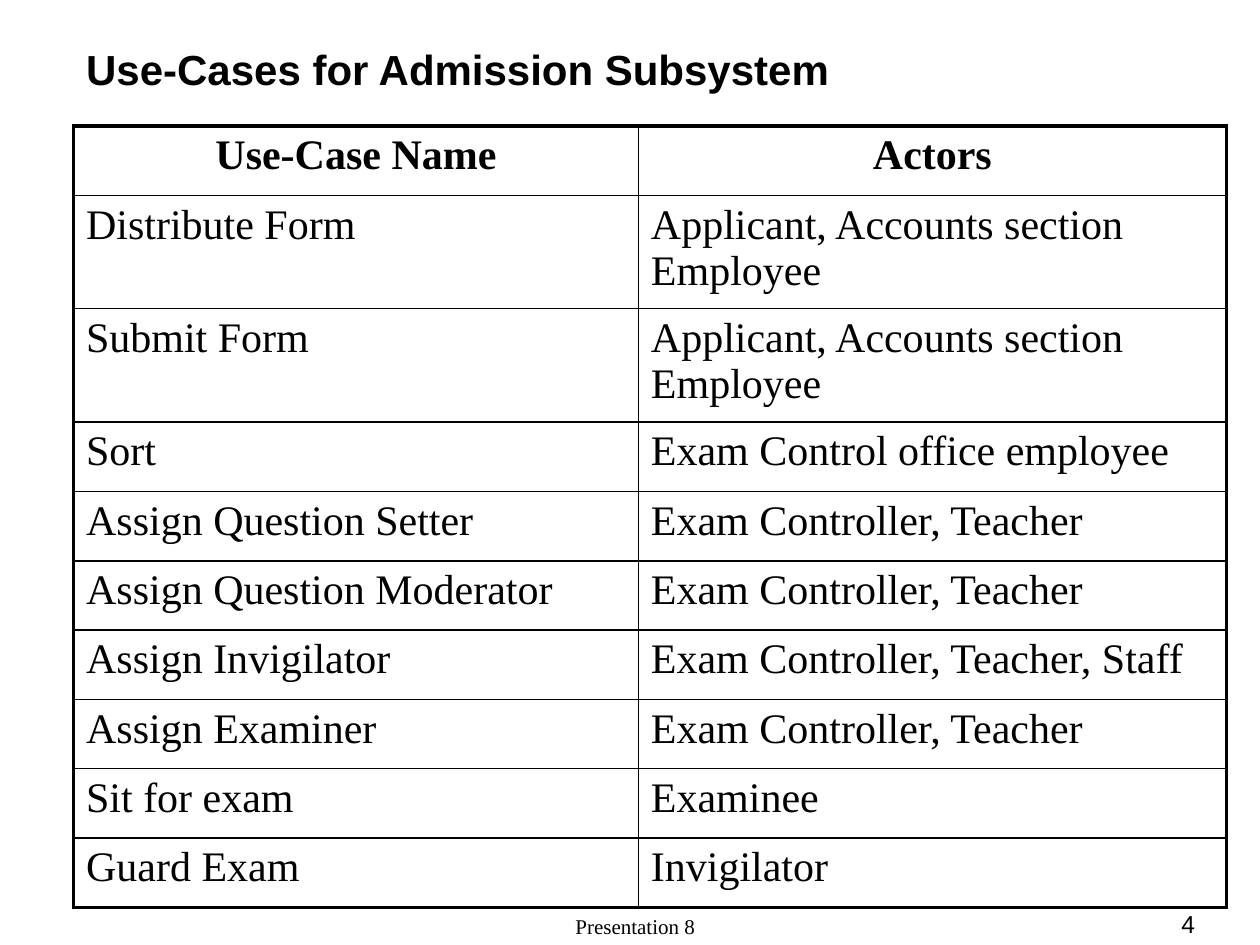
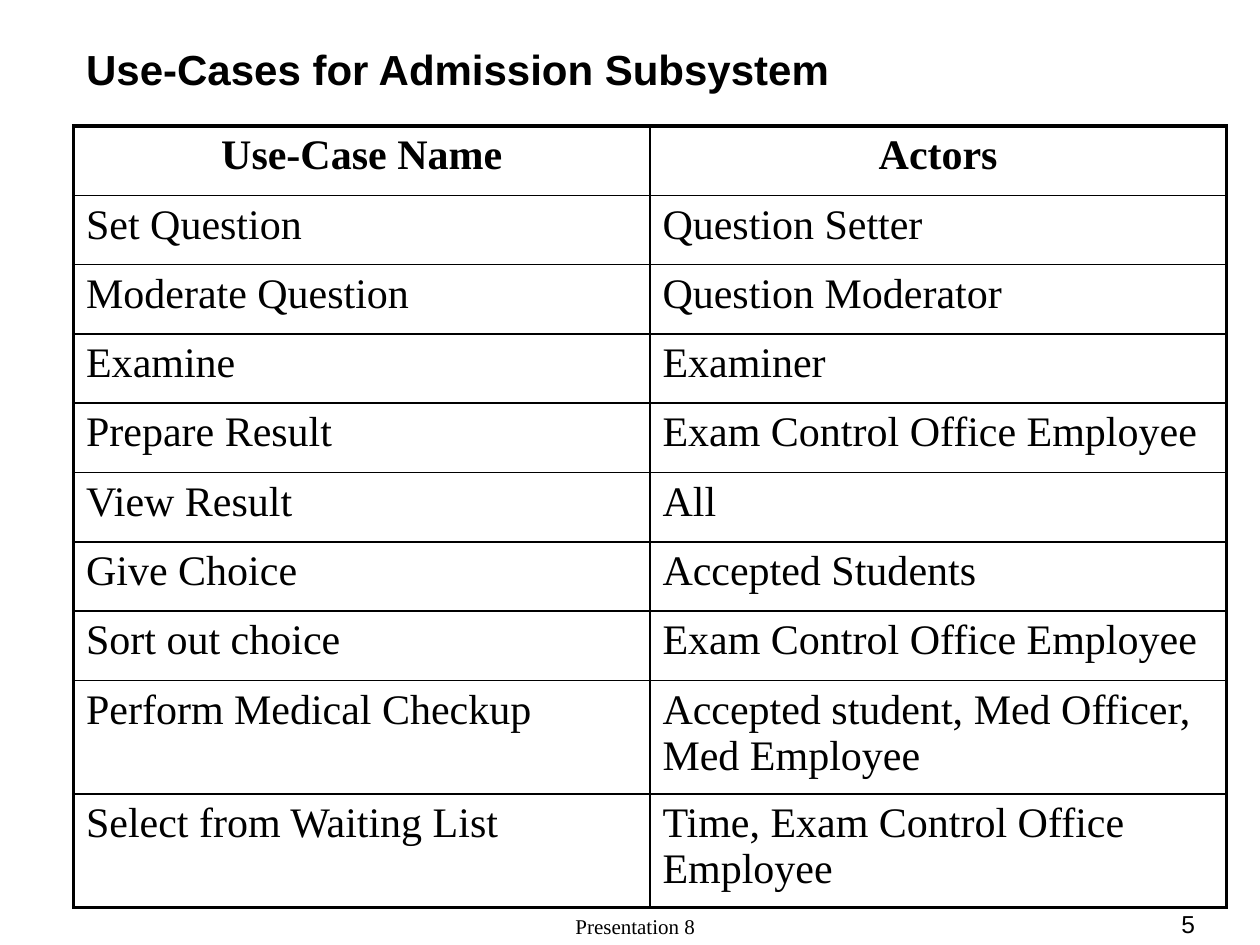
from lxml import etree
from pptx import Presentation
from pptx.dml.color import RGBColor
from pptx.enum.text import MSO_ANCHOR, PP_ALIGN
from pptx.oxml.ns import qn
from pptx.util import Pt

EMU_PER_PX = 7620  # 120 px to the inch
LEFT, CENTER, RIGHT = PP_ALIGN.LEFT, PP_ALIGN.CENTER, PP_ALIGN.RIGHT
MIDDLE, BOTTOM = MSO_ANCHOR.MIDDLE, MSO_ANCHOR.BOTTOM
TITLE_ONLY = 5

COLORS = {"ink": "000000", "paper": "FFFFFF"}
SANS, SERIF = "Arial", "Times New Roman"
OUTER_BORDER, INNER_BORDER = 2.25, 1
ROW_HEIGHT, TALL_ROW_HEIGHT = 66, 108

TITLE = "Use-Cases for Admission Subsystem"
FOOTER = "Presentation 8"
FIRST_PAGE = 4
HEADINGS = ("Use-Case Name", "Actors")

EXAM_SETUP = [
    ("Distribute Form", "Applicant, Accounts section Employee"),
    ("Submit Form", "Applicant, Accounts section Employee"),
    ("Sort", "Exam Control office employee"),
    ("Assign Question Setter", "Exam Controller, Teacher"),
    ("Assign Question Moderator", "Exam Controller, Teacher"),
    ("Assign Invigilator", "Exam Controller, Teacher, Staff"),
    ("Assign Examiner", "Exam Controller, Teacher"),
    ("Sit for exam", "Examinee"),
    ("Guard Exam", "Invigilator"),
]
RESULTS_AND_ENTRY = [
    ("Set Question", "Question Setter"),
    ("Moderate Question", "Question Moderator"),
    ("Examine", "Examiner"),
    ("Prepare Result", "Exam Control Office Employee"),
    ("View Result", "All"),
    ("Give Choice", "Accepted Students"),
    ("Sort out choice", "Exam Control Office Employee"),
    ("Perform Medical Checkup", "Accepted student, Med Officer, Med Employee"),
    ("Select from Waiting List", "Time, Exam Control Office Employee"),
]
# Use cases, column widths, and the rows whose actors take two lines
PAGES = [
    (EXAM_SETUP, (538, 560), {1, 2}),
    (RESULTS_AND_ENTRY, (549, 549), {8, 9}),
]


def px(length):
    return length * EMU_PER_PX


def color(name):
    return RGBColor.from_string(COLORS[name])


class Deck:
    def __init__(self, width, height):
        self.presentation = Presentation()
        self.presentation.slide_width = px(width)
        self.presentation.slide_height = px(height)
        self.slide = None

    def new_slide(self):
        layout = self.presentation.slide_layouts[TITLE_ONLY]
        self.slide = self.presentation.slides.add_slide(layout)
        background = self.slide.background.fill
        background.solid()
        background.fore_color.rgb = color("paper")

    def add_text(self, frame, text, size, font, align=LEFT, bold=False):
        paragraph = frame.paragraphs[0]
        paragraph.alignment = align
        run = paragraph.add_run()
        run.text = text
        run.font.size = Pt(size)
        run.font.name = font
        run.font.bold = bold
        run.font.color.rgb = color("ink")

    def title(self, text, left, top, width, height):
        heading = self.slide.shapes.title
        heading.left, heading.top = px(left), px(top)
        heading.width, heading.height = px(width), px(height)
        heading.text_frame.vertical_anchor = MIDDLE
        self.add_text(heading.text_frame, text, 24, SANS, bold=True)

    def footer(self, text, left, width, size, font, align):
        box = self.slide.shapes.add_textbox(px(left), px(870), px(width), px(30))
        box.text_frame.word_wrap = True
        box.text_frame.vertical_anchor = BOTTOM
        self.add_text(box.text_frame, text, size, font, align)

    def border(self, cell, side, points):
        """Draw one side of a cell: L, R, T or B, called in that order."""
        properties = cell._tc.get_or_add_tcPr()
        line = etree.SubElement(properties, qn(f"a:ln{side}"), w=str(Pt(points)))
        fill = etree.SubElement(line, qn("a:solidFill"))
        etree.SubElement(fill, qn("a:srgbClr"), val=COLORS["ink"])

    def table(self, rows, left, top, widths, tall_rows):
        heights = [TALL_ROW_HEIGHT if i in tall_rows else ROW_HEIGHT
                   for i in range(len(rows))]
        grid = self.slide.shapes.add_table(
            len(rows), len(widths), px(left), px(top),
            px(sum(widths)), px(sum(heights))).table
        grid.first_row = grid.horz_banding = False
        for column, width in zip(grid.columns, widths):
            column.width = px(width)
        last_row, last_column = len(rows) - 1, len(widths) - 1
        for r, (row, height) in enumerate(zip(rows, heights)):
            grid.rows[r].height = px(height)
            for c, text in enumerate(row):
                cell = grid.cell(r, c)
                on_edge = {"L": c == 0, "R": c == last_column,
                           "T": r == 0, "B": r == last_row}
                for side, outer in on_edge.items():
                    self.border(cell, side, OUTER_BORDER if outer else INNER_BORDER)
                cell.fill.background()
                is_heading = r == 0
                self.add_text(cell.text_frame, text, 24, SERIF,
                              CENTER if is_heading else LEFT, is_heading)


def main():
    deck = Deck(1200, 900)
    for page, (use_cases, widths, tall_rows) in enumerate(PAGES, FIRST_PAGE):
        deck.new_slide()
        deck.footer(FOOTER, 410, 390, 12, SERIF, CENTER)
        deck.footer(str(page), 1010, 140, 14, SANS, RIGHT)
        deck.title(TITLE, 70, 30, 1130, 70)
        deck.table([HEADINGS, *use_cases], 70, 120, widths, tall_rows)
    deck.presentation.save("out.pptx")


if __name__ == "__main__":
    main()
